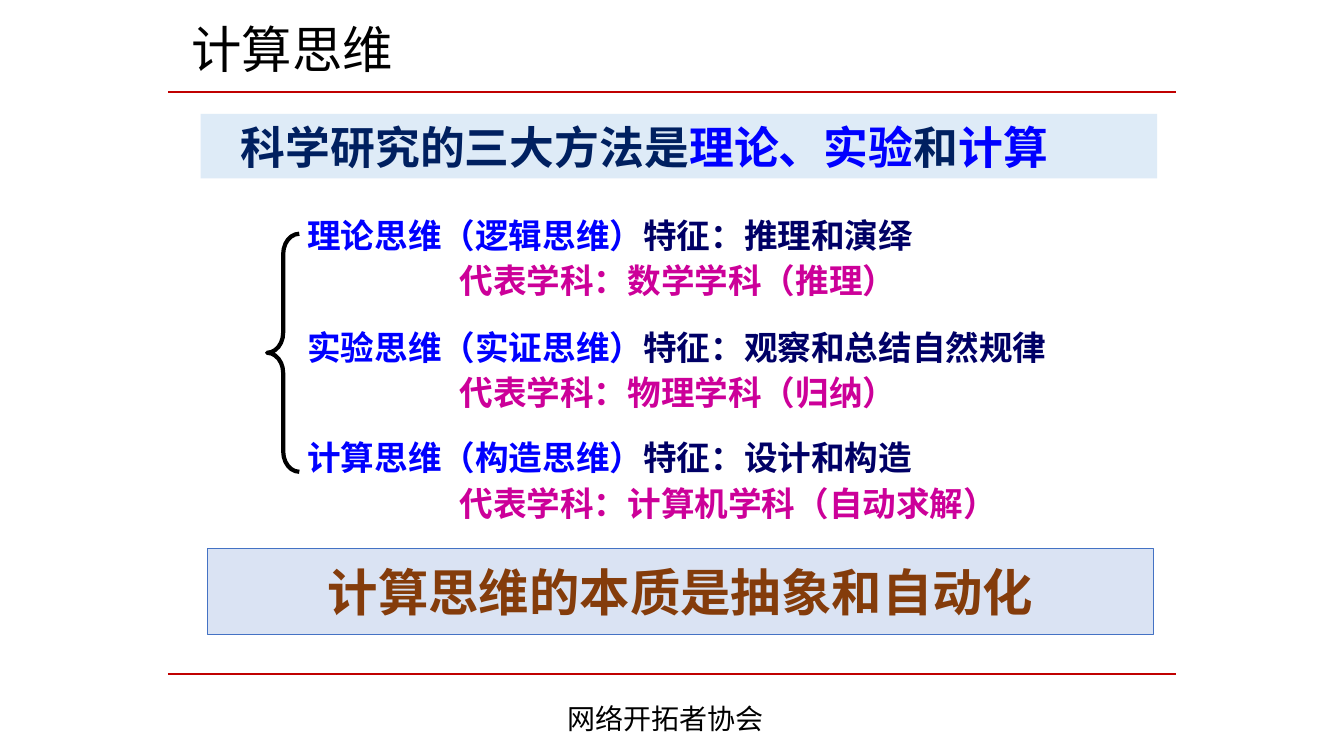
"""Build the slide on computational thinking."""
from lxml import etree
from pptx import Presentation
from pptx.dml.color import RGBColor
from pptx.enum import shapes, text
from pptx.oxml.ns import qn
from pptx.util import Pt

FONT = "Noto Sans CJK SC"
BLACK = RGBColor(0, 0, 0)
RED = RGBColor(0xC0, 0, 0)
NAVY = RGBColor(0, 0x20, 0x60)
BLUE = RGBColor(0, 0, 0xFF)
INDIGO = RGBColor(0, 0, 0x66)
PINK = RGBColor(0xCC, 0, 0x99)
BROWN = RGBColor(0x84, 0x3C, 0x0B)
PALE = RGBColor(0xDE, 0xEB, 0xF7)
MIST = RGBColor(0xDA, 0xE3, 0xF3)
EDGE = RGBColor(0x44, 0x72, 0xC4)

MODES = [
    (149.76, 622, "理论思维（逻辑思维）", "特征：推理和演绎", "代表学科：数学学科（推理）"),
    (229.68, 626, "实验思维（实证思维）", "特征：观察和总结自然规律", "代表学科：物理学科（归纳）"),
    (308.88, 649, "计算思维（构造思维）", "特征：设计和构造", "代表学科：计算机学科（自动求解）"),
]


def write(para, runs, size, bold=False, left=0, align=None, face=FONT):
    """Fill a paragraph with (text, colour) runs in one font."""
    props = para._p.get_or_add_pPr()
    props.set("marL", str(Pt(left)))
    props.set("indent", "0")
    if align is not None:
        para.alignment = align
    font = para.font
    font.size, font.bold, font.name = Pt(size), bold, face
    east = etree.SubElement(props.find(qn("a:defRPr")), qn("a:ea"))
    east.set("typeface", FONT)
    for words, tint in runs:
        run = para.add_run()
        run.text = words
        run.font.color.rgb = tint


def add_text(slide, x, y, w, h):
    """Add a wrapping text box and return its text frame."""
    frame = slide.shapes.add_textbox(Pt(x), Pt(y), Pt(w), Pt(h)).text_frame
    frame.word_wrap = True
    frame.auto_size = text.MSO_AUTO_SIZE.SHAPE_TO_FIT_TEXT
    return frame


def add_rule(slide, y):
    """Draw a red rule across the slide at height y."""
    rule = slide.shapes.add_connector(
        shapes.MSO_CONNECTOR.STRAIGHT, Pt(120), Pt(y), Pt(840), Pt(y))
    rule.line.color.rgb = RED
    rule.line.width = Pt(1.5)
    etree.SubElement(rule._element.spPr, qn("a:effectLst"))


def add_panel(slide, x, y, w, h, fill, edge=None):
    """Add a filled rectangle and return its text frame."""
    panel = slide.shapes.add_shape(
        shapes.MSO_SHAPE.RECTANGLE, Pt(x), Pt(y), Pt(w), Pt(h))
    panel.shadow.inherit = False
    panel.fill.solid()
    panel.fill.fore_color.rgb = fill
    if edge is None:
        panel.line.fill.background()
    else:
        panel.line.color.rgb = edge
        panel.line.width = Pt(0.75)
    frame = panel.text_frame
    frame.vertical_anchor = text.MSO_ANCHOR.MIDDLE
    return frame


def add_brace(slide, x, y, w, h):
    """Draw the brace that joins the three modes."""
    brace = slide.shapes.add_shape(
        shapes.MSO_SHAPE.LEFT_BRACE, Pt(x), Pt(y), Pt(w), Pt(h))
    brace.shadow.inherit = False
    brace.adjustments[0] = 0.63
    brace.fill.background()
    brace.line.color.rgb = BLACK
    brace.line.width = Pt(3)


def add_mode(slide, y, w, name, trait, field):
    """Add one mode of thinking with its field on a second line."""
    frame = add_text(slide, 190.8, y, w, 69.84)
    write(frame.paragraphs[0], [(name, BLUE), (trait, INDIGO)], 24, True, 21.6)
    para = frame.add_paragraph()
    para.space_before = Pt(3.6)
    write(para, [(field, PINK)], 24, True, 130.4)


def main():
    """Build and save the slide."""
    deck = Presentation()
    deck.slide_width, deck.slide_height = Pt(960), Pt(540)
    slide = deck.slides.add_slide(deck.slide_layouts[6])
    for y in (65.5, 481.7):
        add_rule(slide, y)
    title = add_text(slide, 129.6, 9.36, 684, 51.12)
    write(title.paragraphs[0], [("计算思维", BLACK)], 36)
    foot = add_text(slide, 398.16, 497.5, 275, 31.7)
    write(foot.paragraphs[0], [("网络开拓者协会", BLACK)], 20)
    head = add_panel(slide, 143.3, 81.4, 683.3, 46.1, PALE)
    runs = [("科学研究的三大方法是", NAVY), ("理论、实验", BLUE),
            ("和", NAVY), ("计算", BLUE)]
    write(head.paragraphs[0], runs, 32, True, 21.6, text.PP_ALIGN.JUSTIFY)
    add_brace(slide, 190.8, 167, 23, 170)
    for mode in MODES:
        add_mode(slide, *mode)
    core = add_panel(slide, 148.3, 391.7, 675.4, 61.9, MIST, EDGE)
    core.word_wrap = False
    write(core.paragraphs[0], [("计算思维的本质是抽象和自动化", BROWN)],
          36, True, align=text.PP_ALIGN.CENTER, face="Arial")
    deck.save("out.pptx")


if __name__ == "__main__":
    main()
